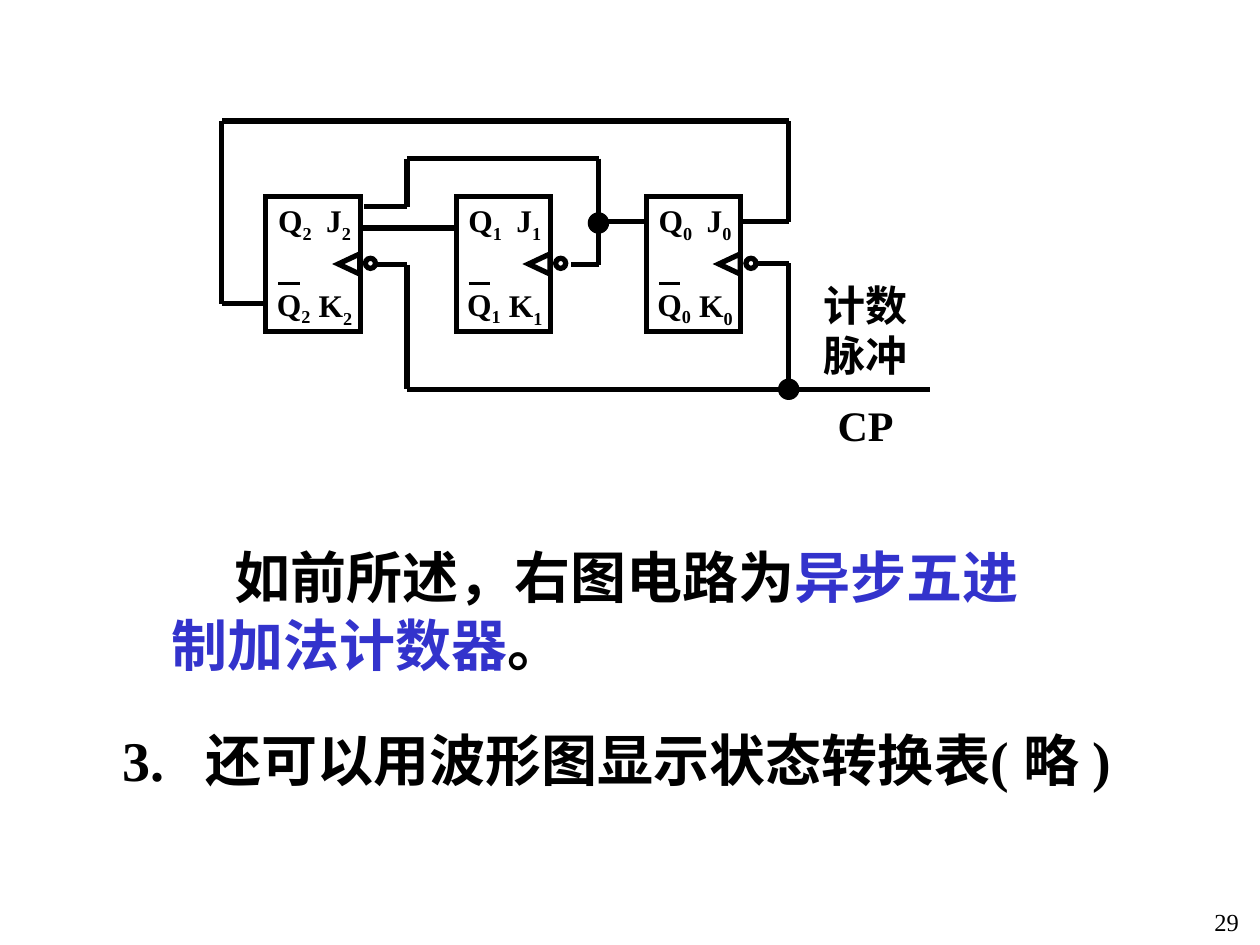
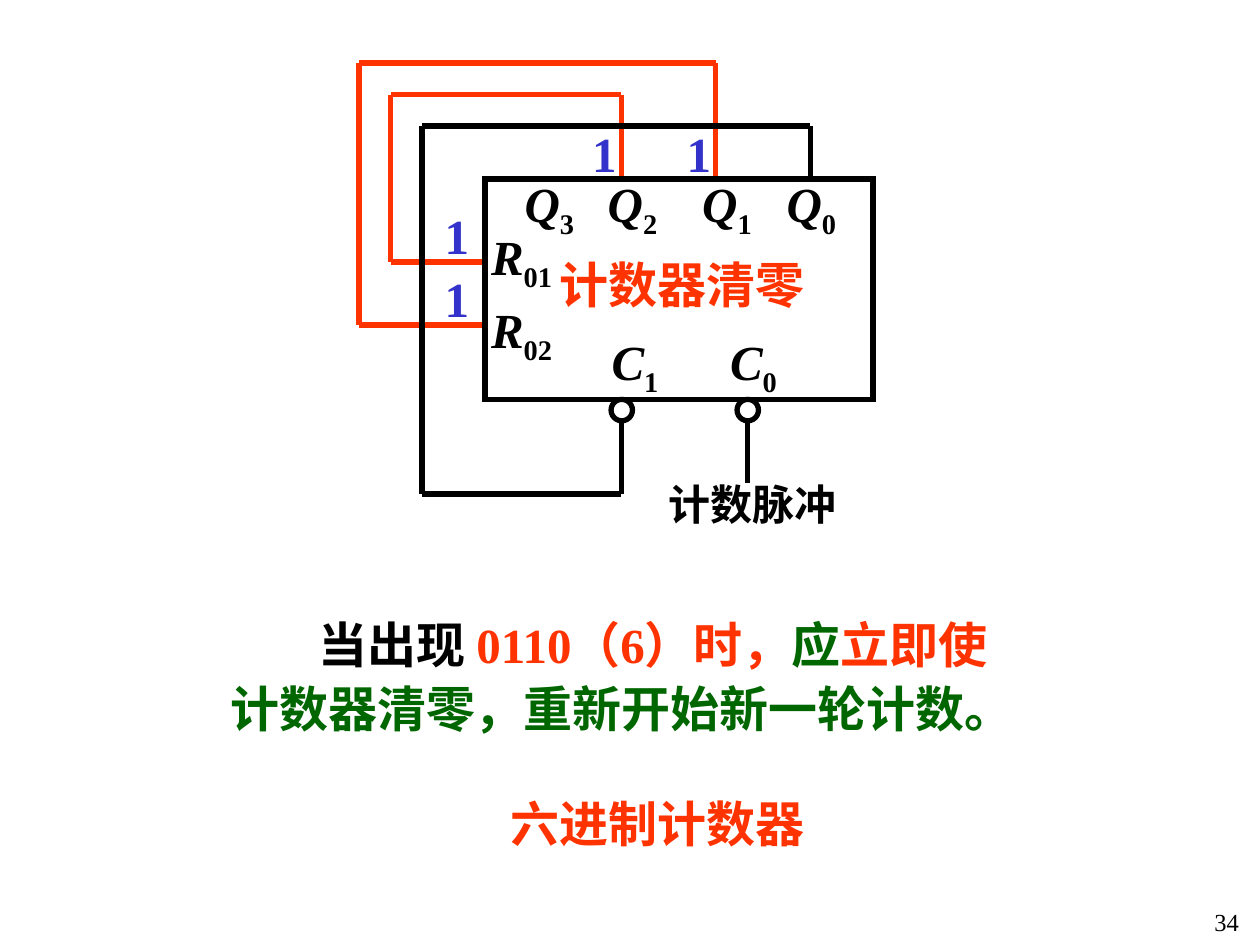
from dataclasses import dataclass
from typing import NamedTuple, Optional

from lxml.etree import SubElement
from pptx import Presentation
from pptx.dml.color import RGBColor
from pptx.enum.shapes import MSO_CONNECTOR, MSO_SHAPE
from pptx.enum.text import PP_ALIGN
from pptx.oxml.ns import qn
from pptx.util import Inches, Pt

BLACK = RGBColor(0x00, 0x00, 0x00)
BLUE = RGBColor(0x33, 0x33, 0xCC)
RED = RGBColor(0xFF, 0x33, 0x00)
GREEN = RGBColor(0x00, 0x66, 0x00)
FONT = "Times New Roman"
SLIDE_W, SLIDE_H = Inches(10), Inches(7.5)
COLS, ROWS = 100, 75
WIRE_PT = 3
PIN_COLS = 9


class Box(NamedTuple):
    col: float
    row: float
    cols: float
    rows: float


class Run(NamedTuple):
    text: str
    color: RGBColor = BLACK
    italic: bool = False
    sub: bool = False


class Wire(NamedTuple):
    points: list
    color: RGBColor = BLACK
    pt: float = WIRE_PT


@dataclass(frozen=True)
class FlipFlop:
    bit: int
    col: float
    row: float = 15.6


@dataclass(frozen=True)
class Pin:
    letter: str
    index: str
    center: float
    row: float


def x(col: float) -> int:
    return round(SLIDE_W * col / COLS)


def y(row: float) -> int:
    return round(SLIDE_H * row / ROWS)


def place(box: Box) -> tuple:
    return x(box.col), y(box.row), x(box.cols), y(box.rows)


def add_text(slide, box: Box, *runs: Run, size: float = 28, bold: bool = True,
             align=PP_ALIGN.LEFT, wrap: bool = True, indent: float = 0,
             tab: float = 0, spacing: Optional[float] = None) -> None:
    tf = slide.shapes.add_textbox(*place(box)).text_frame
    tf.word_wrap = wrap
    p = tf.paragraphs[0]
    p.alignment = align
    if spacing:
        p.line_spacing = spacing
    pPr = p._p.get_or_add_pPr()
    if indent:
        pPr.set("marL", "0")
        pPr.set("indent", str(x(indent)))
    if tab:
        tabs = SubElement(pPr, qn("a:tabLst"))
        SubElement(tabs, qn("a:tab"), pos=str(x(tab)), algn="l")
    for run in runs:
        r = p.add_run()
        r.text = run.text
        r.font.name = FONT
        r.font.size = Pt(size)
        r.font.bold = bold
        r.font.italic = run.italic
        r.font.color.rgb = run.color
        if run.sub:
            r._r.get_or_add_rPr().set("baseline", "-25000")


def add_label(slide, box: Box, letter: str, index: str, italic: bool = False, **fmt) -> None:
    add_text(slide, box, Run(letter, italic=italic), Run(index, sub=True), **fmt)


def add_outline(slide, kind, box: Box, filled: bool = False, rotation: float = 0) -> None:
    sp = slide.shapes.add_shape(kind, *place(box))
    sp.shadow.inherit = False
    sp.rotation = rotation
    if filled:
        sp.fill.solid()
        sp.fill.fore_color.rgb = BLACK
    else:
        sp.fill.background()
    sp.line.color.rgb = BLACK
    sp.line.width = Pt(0.75 if filled else WIRE_PT)
    SubElement(sp._element.spPr.find(qn("a:ln")), qn("a:miter"), lim="800000")


def add_wire(slide, wire: Wire) -> None:
    for (c1, r1), (c2, r2) in zip(wire.points, wire.points[1:]):
        line = slide.shapes.add_connector(MSO_CONNECTOR.STRAIGHT, x(c1), y(r1), x(c2), y(r2))
        line.line.color.rgb = wire.color
        line.line.width = Pt(wire.pt)
        SubElement(line._element.spPr, qn("a:effectLst"))


def add_flip_flop(slide, ff: FlipFlop) -> None:
    c, r = ff.col, ff.row
    add_outline(slide, MSO_SHAPE.RECTANGLE, Box(c, r, 7.5, 10.7))
    add_outline(slide, MSO_SHAPE.FLOWCHART_EXTRACT, Box(c + 5.8, r + 4.5, 1.6, 1.7), rotation=270)
    add_outline(slide, MSO_SHAPE.OVAL, Box(c + 7.9, r + 4.9, 0.8, 0.8))
    for letter, dc, dr in (("Q", 0, -0.1), ("J", 3.8, -0.1), ("Q", -0.1, 6.5), ("K", 3.2, 6.6)):
        add_label(slide, Box(c + dc, r + dr, 7, 4.4), letter, str(ff.bit), size=18)
    add_wire(slide, Wire([(c + 1, r + 6.9), (c + 2.7, r + 6.9)], pt=2.25))


def new_slide(prs, number: int):
    s = prs.slides.add_slide(prs.slide_layouts[6])
    add_text(s, Box(78.5, 71.5, 20.8, 5), Run(str(number)), size=14, bold=False,
             align=PP_ALIGN.RIGHT)
    return s


def build_asynchronous_counter(prs) -> None:
    s = new_slide(prs, 29)
    for i in range(3):
        add_flip_flop(s, FlipFlop(bit=2 - i, col=21.1 + 15.1 * i))
    for points in (
        [(58.8, 17.6), (62.6, 17.6), (62.6, 9.6), (17.6, 9.6), (17.6, 24.1), (21.2, 24.1)],
        [(28.9, 16.4), (32.3, 16.4), (32.3, 12.6), (47.5, 12.6), (47.5, 21), (45.3, 21)],
        [(28.5, 18.1), (36.3, 18.1)],
        [(47.5, 17.6), (51.4, 17.6)],
        [(29.9, 21), (32.3, 21), (32.3, 30.9), (73.8, 30.9)],
        [(60, 20.9), (62.6, 20.9), (62.6, 30.9)],
    ):
        add_wire(s, Wire(points))
    for col, row in ((46.7, 16.9), (61.8, 30.1)):
        add_outline(s, MSO_SHAPE.OVAL, Box(col, row, 1.6, 1.6), filled=True)
    add_text(s, Box(64.4, 21.7, 9.8, 9), Run("计数脉冲"), size=24)
    add_text(s, Box(65.5, 31.2, 7.3, 5), Run("CP"), size=24)
    add_text(s, Box(12.6, 42.6, 73.2, 11.7), Run("如前所述，右图电路为"),
             Run("异步五进制加法计数器", BLUE), Run("。"), size=32, indent=5)
    add_text(s, Box(8.75, 57.1, 84.6, 11.7), Run("3.\t还可以用波形图显示状态转换表( 略 )"),
             size=32, tab=6.6)


def build_base_six_counter(prs) -> None:
    s = new_slide(prs, 34)
    for wire in (
        Wire([(49.3, 14.2), (49.3, 7.5), (31, 7.5), (31, 20.8), (38.5, 20.8)], RED),
        Wire([(56.8, 14.2), (56.8, 5), (28.5, 5), (28.5, 25.8), (38.5, 25.8)], RED),
        Wire([(64.3, 14.2), (64.3, 10), (33.5, 10), (33.5, 39.2), (49.3, 39.2), (49.3, 33.3)]),
        Wire([(59.3, 33.3), (59.3, 38.3)]),
    ):
        add_wire(s, wire)
    add_outline(s, MSO_SHAPE.RECTANGLE, Box(38.5, 14.2, 30.8, 17.5))
    for col in (48.5, 58.5):
        add_outline(s, MSO_SHAPE.OVAL, Box(col, 31.7, 1.7, 1.7))

    centred = dict(align=PP_ALIGN.CENTER, wrap=False)
    for col, row in ((46, 9.3), (53.5, 9.3), (34.3, 15.8), (34.3, 20.8)):
        add_text(s, Box(col, row, 3.9, 5.7), Run("1", BLUE), **centred)
    for pin in (
        Pin("Q", "3", 43.6, 13.3), Pin("Q", "2", 50.2, 13.3),
        Pin("Q", "1", 57.7, 13.3), Pin("Q", "0", 64.4, 13.3),
        Pin("R", "01", 41.4, 17.5), Pin("R", "02", 41.4, 23.3),
        Pin("C", "1", 50.4, 25.8), Pin("C", "0", 59.8, 25.8),
    ):
        box = Box(pin.center - PIN_COLS / 2, pin.row, PIN_COLS, 6.3)
        add_label(s, box, pin.letter, pin.index, italic=True, **centred)
    add_text(s, Box(42.4, 19.7, 23.4, 5.7), Run("计数器清零", RED), **centred)
    add_text(s, Box(48.5, 37.5, 22.5, 5), Run("计数脉冲"), size=24, **centred)
    add_text(s, Box(17.3, 47.8, 63, 16.4), Run("当出现 "), Run("0110（6）时，", RED),
             Run("应", GREEN), Run("立即使", RED), Run("计数器清零，重新开始新一轮计数。", GREEN),
             indent=7, spacing=1.1)
    add_text(s, Box(37.2, 62.5, 30, 5.7), Run("六进制计数器", RED), **centred)


def main() -> None:
    prs = Presentation()
    prs.slide_width, prs.slide_height = SLIDE_W, SLIDE_H
    build_asynchronous_counter(prs)
    build_base_six_counter(prs)
    prs.save("out.pptx")


if __name__ == "__main__":
    main()
